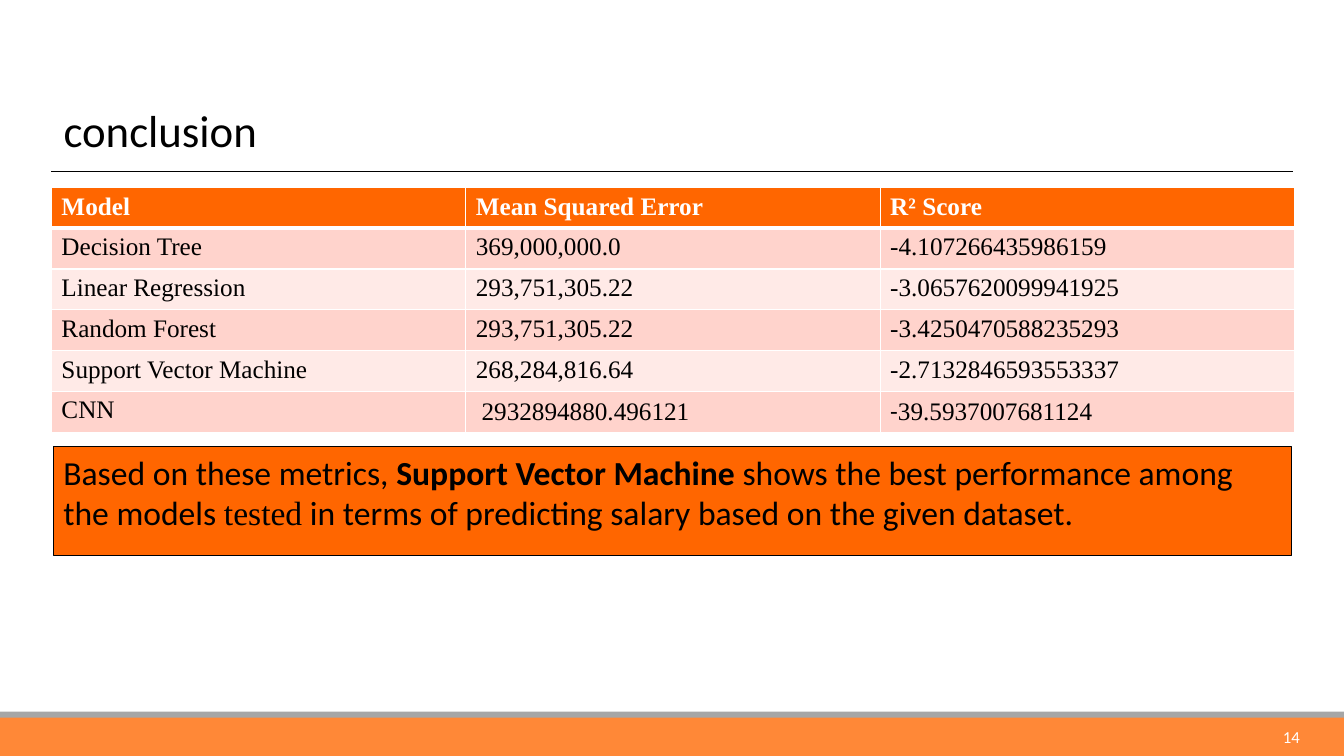
from lxml.etree import SubElement
from pptx import Presentation
from pptx.dml.color import RGBColor
from pptx.enum.shapes import MSO_CONNECTOR, MSO_SHAPE
from pptx.enum.text import MSO_ANCHOR, MSO_AUTO_SIZE, PP_ALIGN
from pptx.oxml.ns import qn
from pptx.util import Inches, Pt

SANS, SERIF = "Calibri", "Times New Roman"
COLORS = {
    "orange": "FF6600", "footer": "FF8837", "gray": "A6A6A6",
    "dark_band": "FFD3CC", "light_band": "FFEAE7",
    "black": "000000", "white": "FFFFFF",
}
TITLE = "conclusion"
PAGE_NUMBER = "14"
# A cell is a string, or a list of (text, font) runs.
RESULTS = [
    ("Model", "Mean Squared Error", "R² Score"),
    ("Decision Tree", "369,000,000.0", "-4.107266435986159"),
    ("Linear Regression", "293,751,305.22", "-3.0657620099941925"),
    ("Random Forest", "293,751,305.22", "-3.4250470588235293"),
    ("Support Vector Machine", "268,284,816.64", "-2.7132846593553337"),
    ("CNN", [(" ", SANS), ("2932894880.496121", SERIF)],
     [("-", SANS), ("39.5937007681124", SERIF)]),
]
FINDING = [
    ("Based on these metrics, ", {}),
    ("Support Vector Machine", {"bold": True}),
    (" shows the best performance among the models ", {}),
    ("tested", {"font": SERIF}),
    (" in terms of predicting salary based on the given dataset.", {}),
]


def rgb(name):
    return RGBColor.from_string(COLORS[name])


def add_text(p, text, size=18, font=SANS, color="black", bold=False):
    r = p.add_run()
    r.text = text
    r.font.size = Pt(size)
    r.font.name = font
    r.font.bold = bold
    r.font.color.rgb = rgb(color)


def add_rect(s, box, fill, line=None):
    sp = s.shapes.add_shape(MSO_SHAPE.RECTANGLE, *map(Inches, box))
    sp.shadow.inherit = False
    sp.fill.solid()
    sp.fill.fore_color.rgb = rgb(fill)
    if line:
        sp.line.color.rgb = rgb(line)
        sp.line.width = Pt(0.75)
    else:
        sp.line.fill.background()
    return sp


def add_borders(cell, bottom):
    """Draw white cell borders, 1 pt except for the given bottom width."""
    tc_pr = cell._tc.get_or_add_tcPr()
    for side, width in (("L", 1), ("R", 1), ("T", 1), ("B", bottom)):
        ln = SubElement(tc_pr, qn(f"a:ln{side}"), w=str(Pt(width)))
        fill = SubElement(ln, qn("a:solidFill"))
        SubElement(fill, qn("a:srgbClr"), val=COLORS["white"])


def add_results(s):
    rows, cols = len(RESULTS), len(RESULTS[0])
    col_width, row_height = Inches(4.11), Inches(2.43 / rows)
    table = s.shapes.add_table(rows, cols, Inches(0.51), Inches(1.86),
                               col_width * cols, row_height * rows).table
    for column in table.columns:
        column.width = col_width
    for i, row in enumerate(RESULTS):
        header = i == 0
        band = "orange" if header else ("light_band", "dark_band")[i % 2]
        for j, content in enumerate(row):
            cell = table.cell(i, j)
            add_borders(cell, bottom=3 if header else 1)
            cell.fill.solid()
            cell.fill.fore_color.rgb = rgb(band)
            runs = [(content, SERIF)] if isinstance(content, str) else content
            for text, font in runs:
                add_text(cell.text_frame.paragraphs[0], text, font=font,
                         color="white" if header else "black", bold=header)


def main():
    prs = Presentation()
    prs.slide_width, prs.slide_height = Inches(13.33), Inches(7.5)
    s = prs.slides.add_slide(prs.slide_layouts[5])

    add_rect(s, (0, 7.08, 13.33, 0.42), "footer")
    add_rect(s, (0, 7.06, 13.33, 0.06), "gray")
    rule = s.shapes.add_connector(MSO_CONNECTOR.STRAIGHT, Inches(0.51), Inches(1.7),
                                  Inches(12.82), Inches(1.7))
    rule.line.color.rgb = rgb("black")
    rule.line.width = Pt(0.75)
    SubElement(rule._element.spPr, qn("a:effectLst"))

    title = s.shapes.title
    title.left, title.top, title.width, title.height = map(Inches, (0.53, 0.89, 12.28, 0.79))
    tf = title.text_frame
    tf.auto_size = MSO_AUTO_SIZE.NONE
    tf.vertical_anchor = MSO_ANCHOR.MIDDLE
    tf.paragraphs[0].alignment = PP_ALIGN.LEFT
    add_text(tf.paragraphs[0], TITLE, size=32)

    add_results(s)

    number = s.shapes.add_textbox(*map(Inches, (12.21, 7.12, 0.78, 0.38)))
    tf = number.text_frame
    tf.word_wrap = True
    tf.vertical_anchor = MSO_ANCHOR.MIDDLE
    tf.paragraphs[0].alignment = PP_ALIGN.RIGHT
    add_text(tf.paragraphs[0], PAGE_NUMBER, size=12, color="white")

    tf = add_rect(s, (0.53, 4.43, 12.28, 1.08), "orange", line="black").text_frame
    tf.word_wrap = True
    tf.vertical_anchor = MSO_ANCHOR.TOP
    tf.paragraphs[0].alignment = PP_ALIGN.LEFT
    for text, style in FINDING:
        add_text(tf.paragraphs[0], text, size=24, **style)

    prs.save("out.pptx")


if __name__ == "__main__":
    main()
